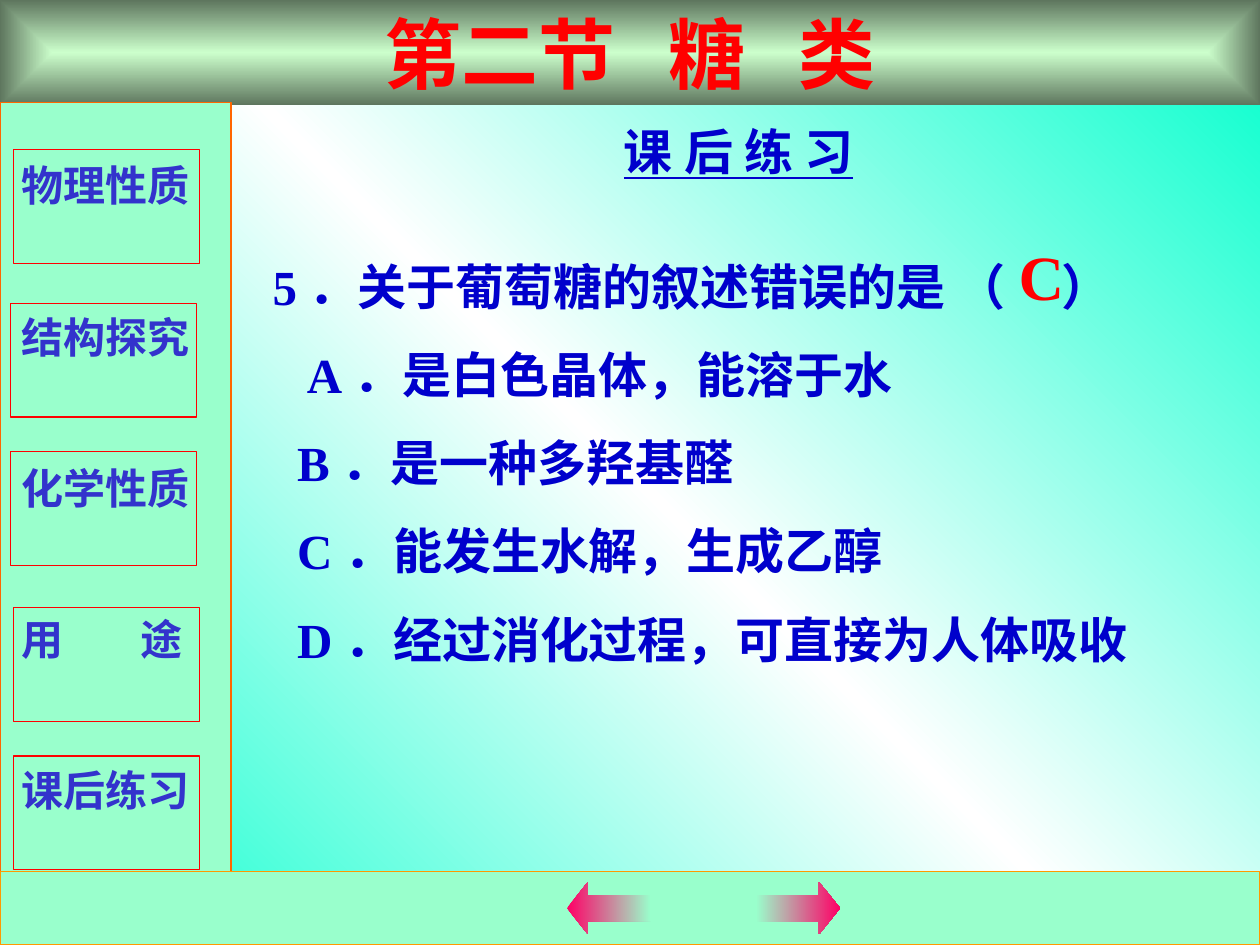
from lxml.etree import SubElement as Sub
from pptx import Presentation
from pptx.dml.color import RGBColor
from pptx.enum.shapes import MSO_SHAPE as Kind
from pptx.enum.text import MSO_ANCHOR as Anchor, PP_ALIGN as Align
from pptx.oxml.ns import qn
from pptx.util import Pt

hue = RGBColor.from_string
RED, MINT, NAVY, PINK = "FF0000", "99FFCC", "0000CC", "FF0066"

deck = Presentation()
deck.slide_width, deck.slide_height = Pt(720), Pt(540)
slide = deck.slides.add_slide(deck.slide_layouts[6])
shapes = slide.shapes


def grad(fill, root, stops, ang=None):
    """Gradient along an angle, or from the centre when none is given."""
    fill.gradient()
    node = next(root.iter(qn("a:gradFill")))
    for kid in list(node):
        node.remove(kid)
    row = Sub(node, qn("a:gsLst"))
    for pos, tint in stops:
        stop = Sub(row, qn("a:gs"), pos=str(pos * 1000))
        Sub(stop, qn("a:srgbClr"), val=tint)
    if ang is None:
        way = Sub(node, qn("a:path"), path="rect")
        Sub(way, qn("a:fillToRect"), {side: "50000" for side in "ltrb"})
    else:
        Sub(node, qn("a:lin"), ang=str(ang * 60000), scaled="0")


def write(para, text, size, tint, gap=0, line=None):
    """One bold run; gap widens its letters, in points."""
    run = para.add_run()
    run.text = text
    font = run.font
    font.name, font.size, font.bold = "Times New Roman", Pt(size), True
    font.color.rgb = hue(tint)
    font.underline = line
    if gap:
        run._r.get_or_add_rPr().set("spc", str(gap * 100))


# Background
grad(slide.background.fill, slide.element,
     [(0, "00FFCC"), (50, "FFFFFF"), (100, "00FFCC")], 315)

# Header, sidebar and footer bars
bars = []
for x, y, w, h, edge in [(0, 0, 720, 60, None),
                         (0, 58.75, 132, 439.25, "FF6600"),
                         (0, 498, 720, 42, "FF9900")]:
    bar = shapes.add_shape(Kind.RECTANGLE, Pt(x), Pt(y), Pt(w), Pt(h))
    bar.shadow.inherit = False
    if edge:
        bar.fill.solid()
        bar.fill.fore_color.rgb = hue(MINT)
        bar.line.color.rgb = hue(edge)
        bar.line.width = Pt(0.75)
    else:
        grad(bar.fill, bar._element, [(0, "CCFFCC"), (100, "5E765E")])
        bar.line.fill.background()
    bar.text_frame.vertical_anchor = Anchor.TOP
    bars.append(bar)
head, side, foot = bars

# Title
para = head.text_frame.paragraphs[0]
para.alignment = Align.CENTER
for text, gap in [("第二节", 0), (" ", 20), ("糖", 0), (" ", 20), ("类", 0)]:
    write(para, text, 44, RED, gap)

# Sidebar menu
frame = side.text_frame
frame.margin_left, frame.margin_top = Pt(12.2), Pt(32.6)
for i, text in enumerate(["物理性质", "结构探究", "化学性质",
                          "用\t途", "课后练习"]):
    para = frame.add_paragraph() if i else frame.paragraphs[0]
    para.alignment = Align.LEFT
    if i:
        para.space_before = Pt(57.6)
    if "\t" in text:
        tabs = Sub(para._p.get_or_add_pPr(), qn("a:tabLst"))
        Sub(tabs, qn("a:tab"), pos=str(Pt(68)), algn="l")
    write(para, text, 24, "3333CC")

# Page arrows
for kind, x, left, right in [(Kind.RIGHT_ARROW, 432, MINT, PINK),
                             (Kind.LEFT_ARROW, 324, PINK, MINT)]:
    arrow = shapes.add_shape(kind, Pt(x), Pt(504), Pt(48), Pt(30))
    arrow.shadow.inherit = False
    arrow.adjustments[0], arrow.adjustments[1] = 0.5, 0.4
    grad(arrow.fill, arrow._element, [(0, left), (100, right)], 0)
    arrow.line.fill.background()

# Question and choices
frame = shapes.add_textbox(Pt(148.8), Pt(126), Pt(512), Pt(259)).text_frame
frame.word_wrap = True
para = frame.paragraphs[0]
para.line_spacing = 1.5
for text, gap in [("5．关于葡萄糖的叙述错误的是 （", 0), (" ", 26), ("）", 0)]:
    write(para, text, 28, NAVY, gap)
for text, dent in [("A．是白色晶体，能溶于水", 19.5),
                   ("B．是一种多羟基醛", 14),
                   ("C．能发生水解，生成乙醇", 14),
                   ("D．经过消化过程，可直接为人体吸收", 14)]:
    para = frame.add_paragraph()
    para.line_spacing = 1.5
    para._p.get_or_add_pPr().set("marL", str(Pt(dent)))
    write(para, text, 28, NAVY)

# Subtitle
frame = shapes.add_textbox(Pt(349.5), Pt(66), Pt(232), Pt(41)).text_frame
frame.word_wrap = True
write(frame.paragraphs[0], "课 后 练 习", 28, NAVY, line=True)

# Menu frames
for x, y in [(7.5, 85.5), (6, 173.25), (6, 258), (7.5, 347.25), (7.5, 432)]:
    box = shapes.add_shape(Kind.RECTANGLE, Pt(x), Pt(y), Pt(106.5), Pt(65))
    box.shadow.inherit = False
    box.fill.background()
    box.line.color.rgb = hue(RED)
    box.line.width = Pt(0.75)

# Answer
frame = shapes.add_textbox(Pt(575), Pt(132), Pt(40), Pt(50)).text_frame
frame.word_wrap = False
write(frame.paragraphs[0], "C", 36, RED)

deck.save("out.pptx")
